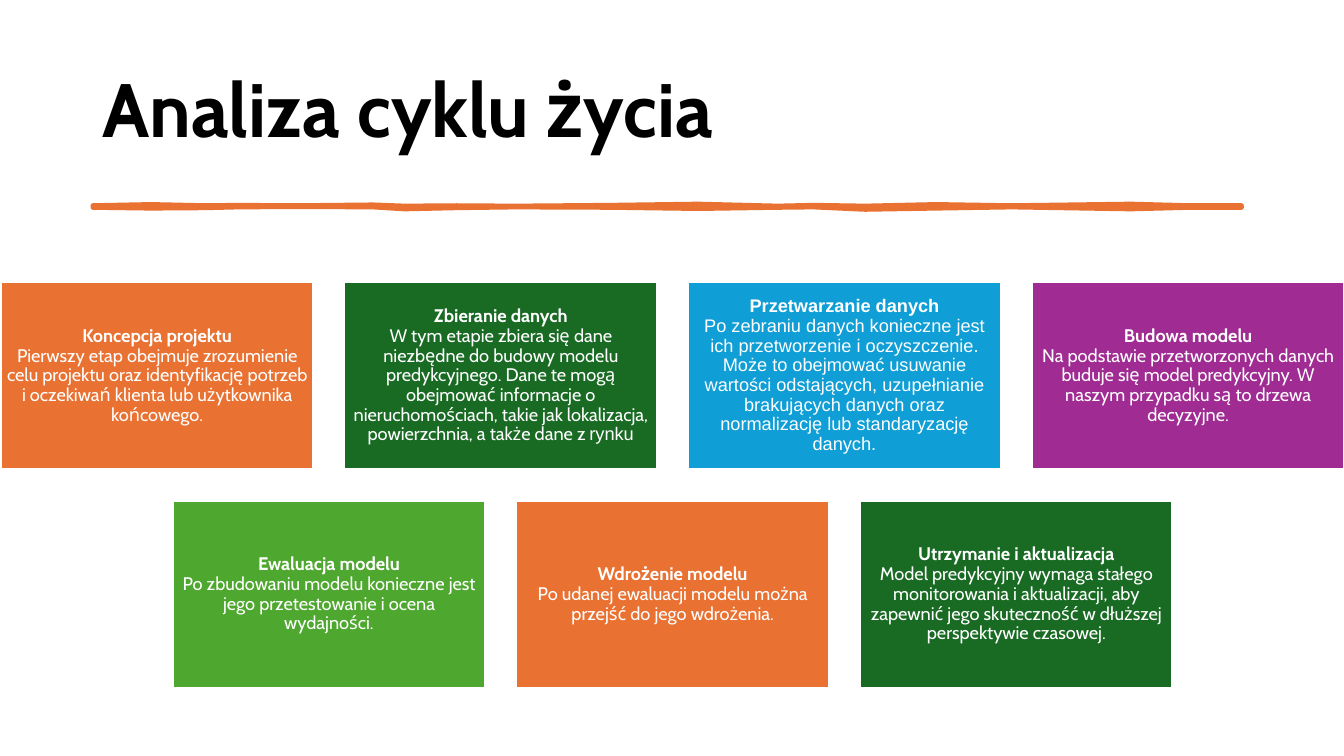
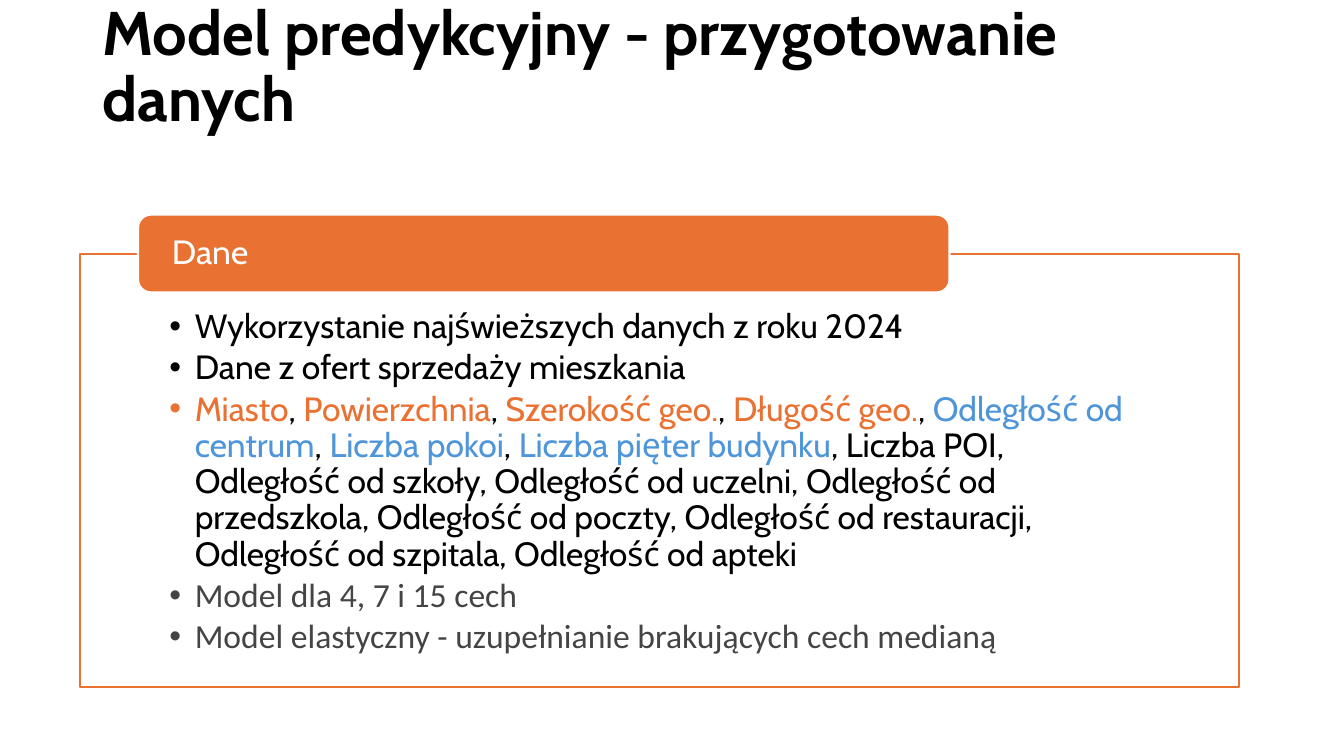
from lxml.etree import SubElement
from pptx import Presentation
from pptx.dml.color import RGBColor
from pptx.enum.shapes import MSO_SHAPE
from pptx.enum.text import MSO_ANCHOR, PP_ALIGN
from pptx.oxml.ns import qn
from pptx.util import Cm, Pt

WHITE = RGBColor(0xFF, 0xFF, 0xFF)
BLACK = RGBColor(0x00, 0x00, 0x00)
GREY = RGBColor(0x44, 0x44, 0x44)
ORANGE = RGBColor(0xE9, 0x71, 0x32)
DARK_GREEN = RGBColor(0x19, 0x6B, 0x24)
GREEN = RGBColor(0x4E, 0xA7, 0x2E)
BLUE = RGBColor(0x0F, 0x9E, 0xD5)
LIGHT_BLUE = RGBColor(0x4E, 0x95, 0xD9)
PURPLE = RGBColor(0xA0, 0x2B, 0x93)
FONT = "Cabin"
LINE_SPACING = 0.9

deck = Presentation()
deck.slide_width = Cm(33.87)
deck.slide_height = Cm(19.05)


def add_page(title, size, top, height, anchor):
    """Add a blank slide with a bold title."""
    page = deck.slides.add_slide(deck.slide_layouts[6])
    frame = page.shapes.add_textbox(Cm(2.33), Cm(top), Cm(29.2), Cm(height)).text_frame
    frame.word_wrap = True
    frame.vertical_anchor = anchor
    para = frame.paragraphs[0]
    para.text = title
    para.line_spacing = LINE_SPACING
    para.font.name = FONT
    para.font.size = Pt(size)
    para.font.bold = True
    para.font.color.rgb = BLACK
    return page


def add_panel(page, kind, position, fill, line, margins, anchor=MSO_ANCHOR.MIDDLE):
    """Add a filled shape; position and margins are in centimetres."""
    panel = page.shapes.add_shape(kind, *[Cm(length) for length in position])
    panel.shadow.inherit = False
    panel.fill.solid()
    panel.fill.fore_color.rgb = fill
    panel.line.color.rgb = line
    panel.line.width = Pt(1.5)
    frame = panel.text_frame
    frame.word_wrap = True
    frame.vertical_anchor = anchor
    frame.margin_left = frame.margin_right = Cm(margins[0])
    frame.margin_top, frame.margin_bottom = Cm(margins[1]), Cm(margins[2])
    return frame


# Slide 1: life cycle
page = add_page("Analiza cyklu życia", 54, 1.02, 3.68, MSO_ANCHOR.MIDDLE)

# x, upper edge and lower edge of the uneven brush stroke
STROKE = [
    (2.34, 5.18, 5.23), (3.8, 5.15, 5.25), (5.2, 5.18, 5.24), (6, 5.17, 5.22),
    (7.5, 5.18, 5.21), (9.4, 5.16, 5.22), (10.2, 5.19, 5.27), (11.5, 5.18, 5.24),
    (13, 5.19, 5.22), (15.4, 5.17, 5.23), (17.6, 5.14, 5.26), (19.6, 5.19, 5.23),
    (20.5, 5.17, 5.22), (21.8, 5.19, 5.28), (23.6, 5.15, 5.25), (25.5, 5.18, 5.22),
    (28.5, 5.14, 5.27), (30, 5.18, 5.23), (31.29, 5.18, 5.23),
]
outline = [(Cm(x), Cm(upper)) for x, upper, lower in STROKE]
outline += [(Cm(x), Cm(lower)) for x, upper, lower in reversed(STROKE)]
builder = page.shapes.build_freeform(*outline[0])
builder.add_line_segments(outline[1:], close=True)
stroke = builder.convert_to_shape()
stroke.shadow.inherit = False
stroke.fill.solid()
stroke.fill.fore_color.rgb = ORANGE
stroke.line.color.rgb = ORANGE
stroke.line.width = Pt(3.25)

STAGE_WIDTH, STAGE_HEIGHT = 7.88, 4.72
COLUMN_STEP, ROW_STEP = 8.66, 5.51
STAGE_LEFT, STAGE_TOP = 0.02, 7.11
COLUMNS = 4
STAGES = [
    (ORANGE, FONT, "Koncepcja projektu",
     ["Pierwszy etap obejmuje zrozumienie celu projektu oraz identyfikację potrzeb "
      "i oczekiwań klienta lub użytkownika końcowego."]),
    (DARK_GREEN, FONT, "Zbieranie danych",
     ["W tym etapie zbiera się dane niezbędne do budowy modelu predykcyjnego. "
      "Dane te mogą obejmować informacje o nieruchomościach, takie jak "
      "lokalizacja, powierzchnia, a także dane z ", "rynku"]),
    (BLUE, "Arial", "Przetwarzanie danych",
     ["Po zebraniu danych konieczne jest ich przetworzenie i oczyszczenie. "
      "Może to obejmować usuwanie wartości odstających, uzupełnianie "
      "brakujących danych oraz normalizację lub standaryzację danych."]),
    (PURPLE, FONT, "Budowa modelu",
     ["Na podstawie przetworzonych danych buduje się model predykcyjny. "
      "W naszym przypadku są to drzewa decyzyjne."]),
    (GREEN, FONT, "Ewaluacja modelu",
     ["Po zbudowaniu modelu konieczne jest jego przetestowanie i ocena wydajności."]),
    (ORANGE, FONT, "Wdrożenie modelu",
     ["Po udanej ewaluacji modelu można przejść do jego wdrożenia."]),
    (DARK_GREEN, FONT, "Utrzymanie i aktualizacja",
     ["Model predykcyjny wymaga stałego monitorowania i aktualizacji, aby zapewnić "
      "jego skuteczność w dłuższej perspektywie czasowej."]),
]
for index, (color, font_name, heading, texts) in enumerate(STAGES):
    row, column = divmod(index, COLUMNS)
    left = STAGE_LEFT + (column + row / 2) * COLUMN_STEP
    top = STAGE_TOP + row * ROW_STEP
    frame = add_panel(page, MSO_SHAPE.RECTANGLE, (left, top, STAGE_WIDTH, STAGE_HEIGHT),
                      color, WHITE, (0.13, 0.13, 0.13))
    para = frame.paragraphs[0]
    para.alignment = PP_ALIGN.CENTER
    para.line_spacing = LINE_SPACING
    para.font.name = font_name
    para.font.size = Pt(13)
    para.font.color.rgb = WHITE
    span = para.add_run()
    span.text = heading
    span.font.bold = True
    para.add_line_break()
    for text in texts:
        span = para.add_run()
        span.text = text
        if text == "rynku":
            span.font.name = "Arial"

# Slide 2: data preparation
page = add_page("Model predykcyjny - przygotowanie danych", 44, 0.71, 2.82,
                MSO_ANCHOR.BOTTOM)

FEATURES = [
    ("Miasto", ORANGE), (", ", BLACK), ("Powierzchnia", ORANGE), (", ", BLACK),
    ("Szerokość geo.", ORANGE), (", ", BLACK), ("Długość geo.", ORANGE), (", ", BLACK),
    ("Odległość od centrum", LIGHT_BLUE), (", ", BLACK),
    ("Liczba pokoi", LIGHT_BLUE), (", ", BLACK),
    ("Liczba pięter budynku", LIGHT_BLUE),
    (", Liczba POI, Odległość od szkoły, Odległość od uczelni, Odległość od "
     "przedszkola, Odległość od poczty, Odległość od restauracji, "
     "Odległość od szpitala, Odległość od apteki", BLACK),
]
BULLETS = [
    (FONT, [("Wykorzystanie najświeższych danych z roku 2024", BLACK)]),
    (FONT, [("Dane z ofert sprzedaży mieszkania", BLACK)]),
    (FONT, FEATURES),
    ("Calibri", [("Model dla 4, 7 i 15 cech", GREY)]),
    ("Calibri", [("Model elastyczny - uzupełnianie brakujących cech medianą", GREY)]),
]
frame = add_panel(page, MSO_SHAPE.RECTANGLE, (2.01, 6.4, 29.21, 10.92),
                  WHITE, ORANGE, (2.26, 1.4, 0.48), MSO_ANCHOR.TOP)
for index, (font_name, spans) in enumerate(BULLETS):
    para = frame.add_paragraph() if index else frame.paragraphs[0]
    properties = para._p.get_or_add_pPr()
    properties.set("marL", str(Cm(0.64)))
    properties.set("indent", str(-Cm(0.64)))
    SubElement(properties, qn("a:buFont"), typeface="Arial")
    SubElement(properties, qn("a:buChar"), char="•")
    para.alignment = PP_ALIGN.LEFT
    para.line_spacing = LINE_SPACING
    para.space_after = Pt(3.6)
    para.font.name = font_name
    para.font.size = Pt(24)
    for text, color in spans:
        span = para.add_run()
        span.text = text
        span.font.color.rgb = color

frame = add_panel(page, MSO_SHAPE.ROUNDED_RECTANGLE, (3.48, 5.41, 20.45, 1.96),
                  ORANGE, WHITE, (0.76, 0, 0))
para = frame.paragraphs[0]
para.text = "Dane"
para.alignment = PP_ALIGN.LEFT
para.line_spacing = LINE_SPACING
para.font.name = FONT
para.font.size = Pt(24)
para.font.color.rgb = WHITE

deck.save("out.pptx")
